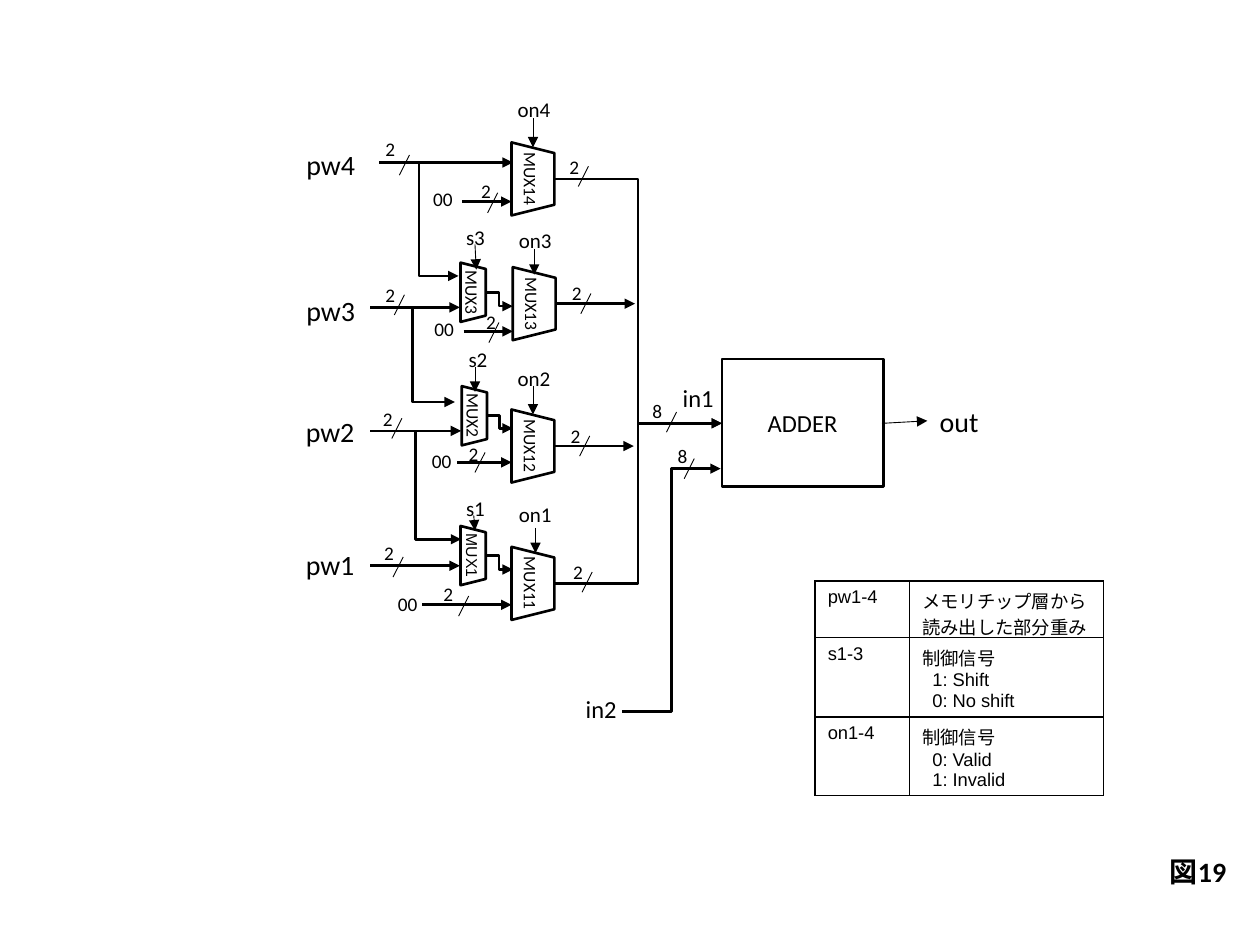
from dataclasses import dataclass
from typing import NamedTuple

from lxml.etree import SubElement
from pptx import Presentation
from pptx.dml.color import RGBColor
from pptx.enum.shapes import MSO_CONNECTOR, MSO_SHAPE
from pptx.enum.text import MSO_ANCHOR, MSO_AUTO_SIZE, PP_ALIGN
from pptx.oxml.ns import qn
from pptx.util import Inches, Pt


@dataclass(frozen=True)
class Theme:
    ink: RGBColor = RGBColor(0, 0, 0)
    font: str = "Calibri"
    table_font: str = "Arial"
    port: float = 16
    block: float = 14
    control: float = 12
    width: float = 11
    mux: float = 10
    small_mux: float = 9
    table: float = 10.5
    bold_line: float = 1.5
    thin_line: float = 0.5


T = Theme()


class Pos(NamedTuple):
    x: float
    y: float


class Wire(NamedTuple):
    x1: float
    y1: float
    x2: float
    y2: float


class Tick(NamedTuple):
    """Bus-width mark: slash corner and label corner."""
    slash: Pos
    label: Pos
    bits: str = "2"


class Lane(NamedTuple):
    n: int
    port: Pos
    port_w: float
    feed: Wire
    feed_tick: Tick
    mux: Pos
    zero: Pos
    zero_wire: Wire
    zero_tick: Tick
    on: Pos
    on_wire: Wire
    out: Wire
    out_tick: Tick


class Shift(NamedTuple):
    n: int
    mux: Pos
    size: float
    font: str
    s: Pos
    s_wire: Wire
    carry: Wire
    link: Wire


LANES = [
    Lane(4, Pos(2.29, 1.12), 0.67, Wire(3.01, 1.29, 4.07, 1.29), Tick(Pos(3.17, 1.23), Pos(2.96, 1.04)),
         Pos(3.94, 1.25), Pos(3.34, 1.44), Wire(3.67, 1.6, 4.06, 1.6), Tick(Pos(3.87, 1.53), Pos(3.72, 1.37)),
         Pos(4.01, 0.72), Wire(4.23, 0.94, 4.23, 1.17),
         Wire(4.4, 1.42, 5.73, 3.36), Tick(Pos(4.59, 1.32), Pos(4.42, 1.18))),
    Lane(3, Pos(2.29, 2.28), 0.67, Wire(2.94, 2.44, 3.65, 2.44), Tick(Pos(3.13, 2.34), Pos(2.96, 2.2)),
         Pos(3.95, 2.24), Pos(3.35, 2.47), Wire(3.68, 2.63, 4.07, 2.63), Tick(Pos(3.88, 2.56), Pos(3.76, 2.41)),
         Pos(4.02, 1.76), Wire(4.24, 1.98, 4.24, 2.18),
         Wire(4.41, 2.41, 5.04, 2.41), Tick(Pos(4.61, 2.33), Pos(4.44, 2.18))),
    Lane(2, Pos(2.31, 3.24), 0.62, Wire(2.95, 3.42, 3.66, 3.42), Tick(Pos(3.11, 3.32), Pos(2.94, 3.18)),
         Pos(3.94, 3.37), Pos(3.33, 3.52), Wire(3.63, 3.67, 4.06, 3.67), Tick(Pos(3.77, 3.59), Pos(3.62, 3.46)),
         Pos(4.01, 2.85), Wire(4.23, 3.06, 4.23, 3.29),
         Wire(4.4, 3.54, 5.03, 3.54), Tick(Pos(4.6, 3.46), Pos(4.43, 3.32))),
    Lane(1, Pos(2.28, 4.3), 0.68, Wire(2.94, 4.49, 3.65, 4.49), Tick(Pos(3.12, 4.42), Pos(2.95, 4.25)),
         Pos(3.94, 4.46), Pos(3.06, 4.65), Wire(3.35, 4.8, 4.06, 4.8), Tick(Pos(3.64, 4.73), Pos(3.42, 4.57)),
         Pos(4.02, 3.93), Wire(4.25, 4.19, 4.25, 4.39),
         Wire(4.4, 4.63, 5.73, 3.36), Tick(Pos(4.62, 4.54), Pos(4.45, 4.4))),
]
SHIFTS = [
    Shift(3, Pos(3.52, 2.22), T.mux, T.font, Pos(3.6, 1.73), Wire(3.77, 1.94, 3.78, 2.14),
          Wire(3.01, 1.29, 3.64, 2.19), Wire(3.85, 2.32, 4.07, 2.43)),
    Shift(2, Pos(3.53, 3.2), T.mux, T.font, Pos(3.62, 2.7), Wire(3.77, 2.91, 3.77, 3.11),
          Wire(2.94, 2.44, 3.61, 3.19), Wire(3.86, 3.3, 4.07, 3.4)),
    Shift(1, Pos(3.52, 4.31), T.small_mux, T.table_font, Pos(3.6, 3.88), Wire(3.76, 4.09, 3.77, 4.21),
          Wire(2.94, 3.42, 3.66, 4.28), Wire(3.85, 4.41, 4.07, 4.52)),
]
IN_TICKS = [Tick(Pos(5.29, 3.27), Pos(5.08, 3.12), "8"), Tick(Pos(5.43, 3.64), Pos(5.28, 3.48), "8")]
LEGEND = [
    ("pw1-4", ["メモリチップ層から読み出した部分重み"], 0.45),
    ("s1-3", ["制御信号", "1: Shift", "0: No shift"], 0.63),
    ("on1-4", ["制御信号", "0: Valid", "1: Invalid"], 0.62),
]


def write(p, text: str, *, size: float, font: str = T.font, bold: bool = False, align=PP_ALIGN.LEFT) -> None:
    p.alignment = align
    r = p.add_run()
    r.text = text
    r.font.size, r.font.name, r.font.bold = Pt(size), font, bold
    r.font.color.rgb = T.ink


def label(s, text: str, at: Pos, w: float, h: float, *, wrap: bool = False, **fmt) -> None:
    tf = s.shapes.add_textbox(Inches(at.x), Inches(at.y), Inches(w), Inches(h)).text_frame
    tf.word_wrap = wrap
    tf.auto_size = MSO_AUTO_SIZE.SHAPE_TO_FIT_TEXT
    write(tf.paragraphs[0], text, **fmt)


def block(s, kind, text: str, at: Pos, w: float, h: float, *, turn: float = 0, side: float = 0.1, **fmt) -> None:
    sp = s.shapes.add_shape(kind, Inches(at.x), Inches(at.y), Inches(w), Inches(h))
    sp.shadow.inherit = False
    sp.rotation = turn
    sp.fill.background()
    sp.line.color.rgb, sp.line.width = T.ink, Pt(T.bold_line)
    tf = sp.text_frame
    tf.word_wrap = False
    tf.vertical_anchor = MSO_ANCHOR.MIDDLE
    tf.margin_left = tf.margin_right = Inches(side)
    write(tf.paragraphs[0], text, align=PP_ALIGN.CENTER, **fmt)


def wire(s, w: Wire, *, weight: float = T.bold_line, elbow: bool = False, arrow: bool = True) -> None:
    kind = MSO_CONNECTOR.ELBOW if elbow else MSO_CONNECTOR.STRAIGHT
    c = s.shapes.add_connector(kind, *(Inches(v) for v in w))
    c.line.color.rgb, c.line.width = T.ink, Pt(weight)
    if arrow:
        SubElement(c.line._get_or_add_ln(), qn("a:tailEnd"), type="triangle")
    SubElement(c._element.spPr, qn("a:effectLst"))


def tick(s, t: Tick) -> None:
    x, y = t.slash
    wire(s, Wire(x, y + 0.16, x + 0.08, y), weight=T.thin_line, arrow=False)
    label(s, t.bits, t.label, 0.29, 0.29, size=T.width)


def lane(s, d: Lane) -> None:
    label(s, f"pw{d.n}", d.port, d.port_w, 0.37, wrap=True, size=T.port, align=PP_ALIGN.CENTER)
    label(s, "00", d.zero, 0.37, 0.29, size=T.width)
    label(s, f"on{d.n}", d.on, 0.46, 0.3, size=T.control)
    block(s, MSO_SHAPE.TRAPEZOID, f"MUX1{d.n}", d.mux, 0.58, 0.34, turn=90, side=0.02, size=T.mux)
    wire(s, d.feed)
    wire(s, d.zero_wire)
    wire(s, d.on_wire, weight=T.thin_line)
    wire(s, d.out, elbow=d.out.y1 != d.out.y2)
    for t in (d.feed_tick, d.zero_tick, d.out_tick):
        tick(s, t)


def shift(s, d: Shift) -> None:
    label(s, f"s{d.n}", d.s, 0.35, 0.3, size=T.control)
    block(s, MSO_SHAPE.TRAPEZOID, f"MUX{d.n}", d.mux, 0.47, 0.2, turn=90, side=0.02, size=d.size, font=d.font)
    wire(s, d.s_wire, weight=T.thin_line)
    wire(s, d.carry, elbow=True)
    wire(s, d.link, elbow=True)


def fill_cell(cell, lines: list[str]) -> None:
    tf = cell.text_frame
    for i, text in enumerate(lines):
        p = tf.add_paragraph() if i else tf.paragraphs[0]
        if i:
            p._p.get_or_add_pPr().set("marL", str(Inches(0.08)))
        write(p, text, size=T.table, font=T.table_font)
    tc = cell._tc.get_or_add_tcPr()
    for edge in ("lnL", "lnR", "lnT", "lnB"):
        ln = SubElement(tc, qn(f"a:{edge}"), w=str(Pt(1)))
        SubElement(SubElement(ln, qn("a:solidFill")), qn("a:srgbClr"), val=str(T.ink))
    cell.fill.background()


def legend(s) -> None:
    tbl = s.shapes.add_table(len(LEGEND), 2, Inches(6.47), Inches(4.61), Inches(2.29), Inches(1.7)).table
    tbl.first_row = tbl.horz_banding = False
    tbl.columns[0].width, tbl.columns[1].width = Inches(0.75), Inches(1.54)
    for i, (name, lines, h) in enumerate(LEGEND):
        tbl.rows[i].height = Inches(h)
        fill_cell(tbl.cell(i, 0), [name])
        fill_cell(tbl.cell(i, 1), lines)


def main() -> None:
    prs = Presentation()
    prs.slide_width, prs.slide_height = Inches(10), Inches(7.5)
    s = prs.slides.add_slide(prs.slide_layouts[6])

    # Selector lanes and shift stages
    for d in LANES:
        lane(s, d)
    for d in SHIFTS:
        shift(s, d)

    # Adder with its inputs and output
    block(s, MSO_SHAPE.RECTANGLE, "ADDER", Pos(5.73, 2.85), 1.28, 1.01, size=T.block)
    label(s, "in1", Pos(5.32, 2.99), 0.45, 0.34, size=T.block)
    label(s, "in2", Pos(4.55, 5.46), 0.54, 0.34, wrap=True, size=T.block)
    label(s, "out", Pos(7.36, 3.16), 0.51, 0.37, size=T.port)
    wire(s, Wire(4.94, 5.65, 5.72, 3.72), elbow=True)
    wire(s, Wire(7, 3.36, 7.36, 3.34), weight=T.thin_line)
    for t in IN_TICKS:
        tick(s, t)

    # Signal legend and figure number
    legend(s)
    label(s, "図19", Pos(9.08, 6.73), 0.75, 0.37, wrap=True, size=T.port, bold=True, align=PP_ALIGN.RIGHT)
    prs.save("out.pptx")


if __name__ == "__main__":
    main()
